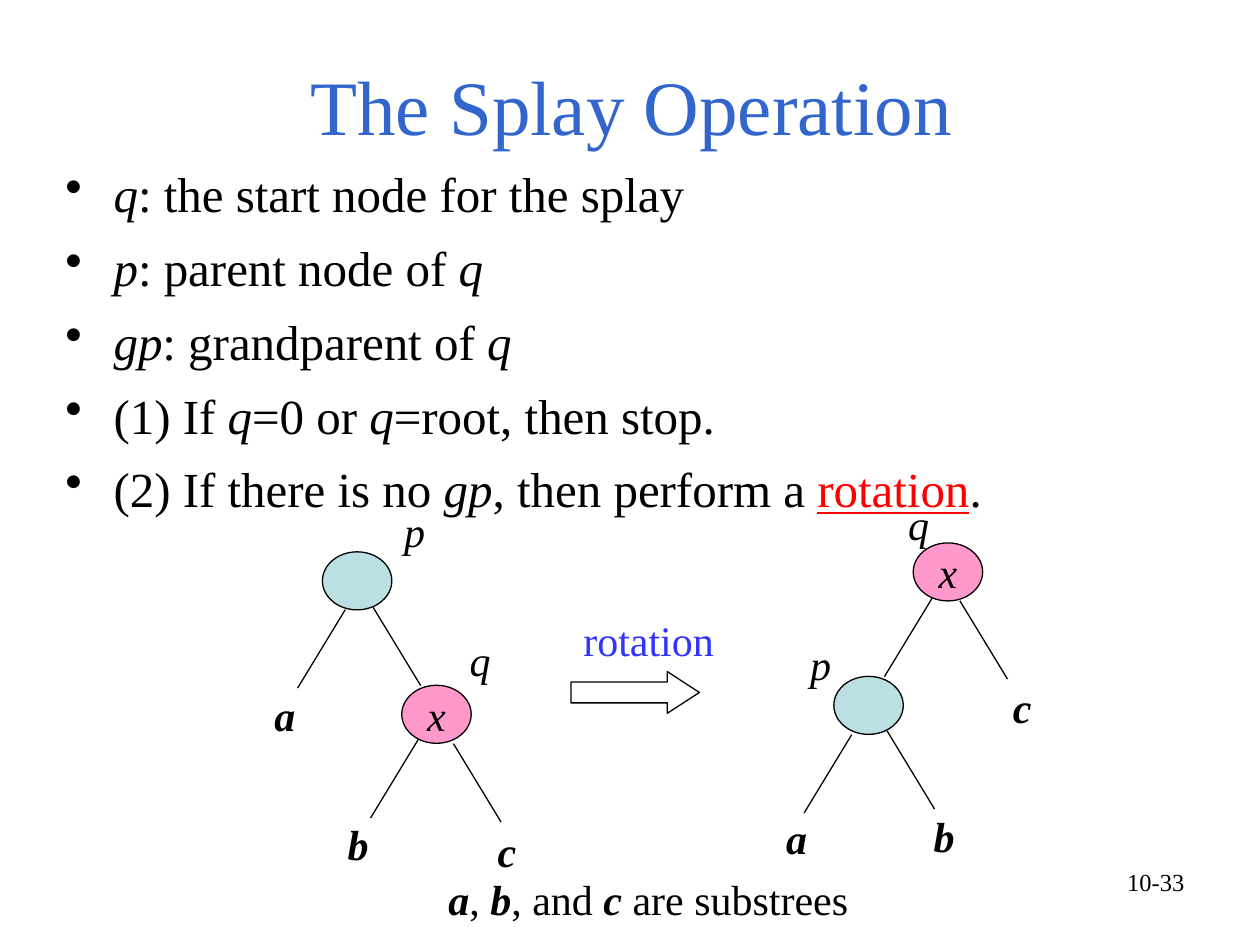
from dataclasses import dataclass

from lxml.etree import SubElement
from pptx import Presentation
from pptx.dml.color import RGBColor
from pptx.enum.shapes import MSO_CONNECTOR, MSO_SHAPE
from pptx.enum.text import MSO_ANCHOR, MSO_AUTO_SIZE, PP_ALIGN
from pptx.oxml.ns import qn
from pptx.util import Cm, Pt


@dataclass(frozen=True)
class Theme:
    """Colours, font and type sizes of the slide."""
    font: str = "Times New Roman"
    ink: str = "000000"
    heading: str = "3366CC"
    accent: str = "3333FF"
    alert: str = "FF0000"
    parent_fill: str = "BBE0E3"
    start_fill: str = "FF99CC"
    title_size: int = 44
    body_size: int = 28
    label_size: int = 24
    number_size: int = 14
    line_width: float = 0.75


THEME = Theme()
ITALIC = {"italic": True}
SUBTREE = {"italic": True, "bold": True}
ALERT = {"underline": True, "color": THEME.alert}

RULES = [
    [("q", ITALIC), (": the start node for the splay", {})],
    [("p", ITALIC), (": parent node of ", {}), ("q", ITALIC)],
    [("gp", ITALIC), (": grandparent of ", {}), ("q", ITALIC)],
    [("(1) If ", {}), ("q", ITALIC), ("=0 or ", {}), ("q", ITALIC),
     ("=root, then stop.", {})],
    [("(2) If there is no ", {}), ("gp", ITALIC), (", then perform a ", {}),
     ("rotation", ALERT), (".", {})],
]
CAPTION = [("a", SUBTREE), (", ", {}), ("b", SUBTREE), (", and ", {}),
           ("c", SUBTREE), (" are substrees", {})]

NODE_WIDTH, NODE_HEIGHT = 1.4, 1.17
CHILD_OFFSET = (1.6, 2.69)
EDGE_RUN, EDGE_DROP = 0.96, 1.58
EDGE_STARTS = [(0.32, 0.53, 1), (-0.24, 0.58, -1),
               (1.23, 3.2, -1), (1.94, 3.28, 1)]
LABEL_HEIGHT = 1.27

BEFORE_LABELS = {"a": (5.28, 13.77), "b": (6.76, 16.38), "c": (9.78, 16.51),
                 "p": (7.9, 10.06), "q": (9.22, 12.67)}
AFTER_LABELS = {"a": (15.6, 16.26), "b": (18.57, 16.21), "c": (20.17, 13.61),
                "p": (16.08, 12.75), "q": (18.06, 9.93)}


def add_bullet(paragraph):
    """Give a paragraph a hanging black bullet."""
    properties = paragraph._p.get_or_add_pPr()
    properties.set("marL", str(Cm(0.97)))
    properties.set("indent", str(-Cm(0.97)))
    bullet_color = SubElement(properties, qn("a:buClr"))
    SubElement(bullet_color, qn("a:srgbClr"), val=THEME.ink)
    SubElement(properties, qn("a:buChar"), char="•")


def write_text(frame, paragraphs, size=THEME.label_size, color=THEME.ink,
               align=PP_ALIGN.LEFT, anchor=MSO_ANCHOR.TOP, wrap=True,
               bullets=False, gap=0):
    """Fill a text frame with paragraphs of (text, style) runs."""
    frame.word_wrap = wrap
    frame.auto_size = MSO_AUTO_SIZE.NONE
    frame.vertical_anchor = anchor
    for index, runs in enumerate(paragraphs):
        paragraph = frame.add_paragraph() if index else frame.paragraphs[0]
        paragraph.alignment = align
        if bullets:
            add_bullet(paragraph)
        if index:
            paragraph.space_before = Pt(gap)
        for wording, style in runs:
            run = paragraph.add_run()
            run.text = wording
            font = run.font
            font.name = THEME.font
            font.size = Pt(size)
            font.bold = style.get("bold", False)
            font.italic = style.get("italic", False)
            font.underline = style.get("underline", False)
            font.color.rgb = RGBColor.from_string(style.get("color", color))


def add_text(slide, left, top, width, height, paragraphs, **text_format):
    """Add a text box with formatted paragraphs."""
    box = slide.shapes.add_textbox(Cm(left), Cm(top), Cm(width), Cm(height))
    write_text(box.text_frame, paragraphs, **text_format)


def outline(line):
    """Apply the thin black line of the diagram."""
    line.color.rgb = RGBColor.from_string(THEME.ink)
    line.width = Pt(THEME.line_width)


def add_node(slide, center_x, center_y, fill, name=""):
    """Add a tree node around its centre."""
    node = slide.shapes.add_shape(
        MSO_SHAPE.OVAL, Cm(center_x - NODE_WIDTH / 2),
        Cm(center_y - NODE_HEIGHT / 2), Cm(NODE_WIDTH), Cm(NODE_HEIGHT))
    node.shadow.inherit = False
    node.fill.solid()
    node.fill.fore_color.rgb = RGBColor.from_string(fill)
    outline(node.line)
    if name:
        write_text(node.text_frame, [[(name, ITALIC)]], wrap=False,
                   align=PP_ALIGN.CENTER, anchor=MSO_ANCHOR.MIDDLE)


def add_edge(slide, start_x, start_y, direction):
    """Add a branch falling to the left (-1) or right (1)."""
    edge = slide.shapes.add_connector(
        MSO_CONNECTOR.STRAIGHT, Cm(start_x), Cm(start_y),
        Cm(start_x + direction * EDGE_RUN), Cm(start_y + EDGE_DROP))
    outline(edge.line)
    SubElement(edge._element.spPr, qn("a:effectLst"))


def add_tree(slide, root_x, root_y, side, nodes, labels):
    """Add a two-node tree whose child hangs on the given side."""
    offsets = [(0, 0), CHILD_OFFSET]
    for (across, down), (fill, name) in zip(offsets, nodes):
        add_node(slide, root_x + side * across, root_y + down, fill, name)
    for across, down, direction in EDGE_STARTS:
        add_edge(slide, root_x + side * across, root_y + down, side * direction)
    for name, (left, top) in labels.items():
        style, width = (SUBTREE, 0.97) if name in "abc" else (ITALIC, 1.04)
        add_text(slide, left, top, width, LABEL_HEIGHT, [[(name, style)]])


def add_rotation_arrow(slide):
    """Add the block arrow between the trees and its caption."""
    arrow = slide.shapes.add_shape(
        MSO_SHAPE.RIGHT_ARROW, Cm(11.51), Cm(13.54), Cm(2.59), Cm(0.84))
    arrow.adjustments[0] = 0.5
    arrow.adjustments[1] = 0.77
    arrow.shadow.inherit = False
    arrow.fill.background()
    outline(arrow.line)
    add_text(slide, 11.51, 12.27, 3.35, LABEL_HEIGHT, [[("rotation", {})]],
             color=THEME.accent)


def add_title(slide, wording):
    """Place and format the title placeholder."""
    title = slide.shapes.title
    title.left, title.top = Cm(1.3), Cm(0.53)
    title.width, title.height = Cm(22.86), Cm(3.18)
    write_text(title.text_frame, [[(wording, {})]], size=THEME.title_size,
               color=THEME.heading, align=PP_ALIGN.CENTER,
               anchor=MSO_ANCHOR.MIDDLE)


def main():
    """Build the slide and save it."""
    deck = Presentation()
    deck.slide_width, deck.slide_height = Cm(25.4), Cm(19.05)
    slide = deck.slides.add_slide(deck.slide_layouts[5])
    add_title(slide, "The Splay Operation")
    add_text(slide, 1.07, 3.18, 23.29, 7.95, RULES, size=THEME.body_size,
             bullets=True, gap=8.5)
    parent, start = (THEME.parent_fill, ""), (THEME.start_fill, "x")
    add_tree(slide, 7.2, 11.71, 1, [parent, start], BEFORE_LABELS)
    add_tree(slide, 19.11, 11.53, -1, [start, parent], AFTER_LABELS)
    add_rotation_arrow(slide)
    add_text(slide, 8.79, 17.48, 9.47, LABEL_HEIGHT, [CAPTION])
    add_text(slide, 18.21, 17.35, 5.92, 1.32, [[("10-33", {})]],
             size=THEME.number_size, align=PP_ALIGN.RIGHT)
    deck.save("out.pptx")


if __name__ == "__main__":
    main()
